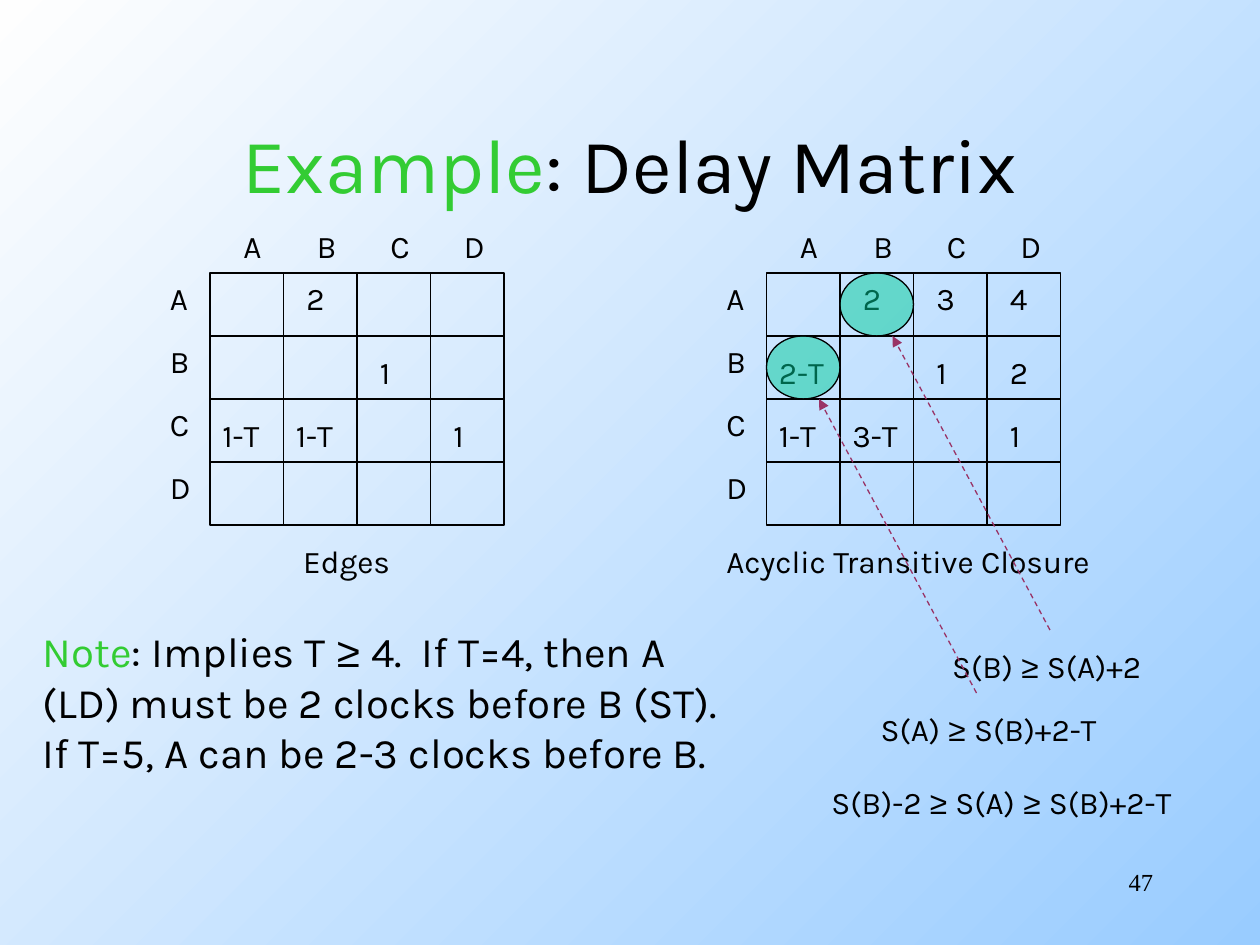
"""Build the delay matrix example slide on a grid of 120 columns by 90 rows."""
import pptx
import pptx.dml.color
import pptx.enum.dml
import pptx.enum.shapes
import pptx.enum.text
import pptx.oxml
import pptx.oxml.ns
import pptx.util

BLACK = pptx.dml.color.RGBColor(0x00, 0x00, 0x00)
GREEN = pptx.dml.color.RGBColor(0x33, 0xCC, 0x33)
TEAL = pptx.dml.color.RGBColor(0x00, 0xCC, 0x99)
PLUM = pptx.dml.color.RGBColor(0x99, 0x33, 0x66)
SKY = pptx.dml.color.RGBColor(0x99, 0xCC, 0xFF)
PALE = pptx.dml.color.RGBColor(0xFE, 0xFE, 0xFE)
ALIGN = pptx.enum.text.PP_ALIGN
SHAPES = pptx.enum.shapes.MSO_SHAPE
STRAIGHT = pptx.enum.shapes.MSO_CONNECTOR.STRAIGHT

deck = pptx.Presentation()
deck.slide_width = pptx.util.Inches(10)
deck.slide_height = pptx.util.Inches(7.5)
UNIT = deck.slide_width // 120
slide = deck.slides.add_slide(deck.slide_layouts[5])
backdrop = slide.background.fill
backdrop.gradient()
backdrop.gradient_angle = 135
for stop, colour in zip(backdrop.gradient_stops, (SKY, PALE)):
    stop.color.rgb = colour


def write(frame, lines, size=18, font="Karla", align=ALIGN.LEFT):
    """Fill a text frame; a bar in a line separates its runs."""
    for index, line in enumerate(lines):
        paragraph = frame.add_paragraph() if index else frame.paragraphs[0]
        paragraph.alignment = align
        paragraph.font.size = pptx.util.Pt(size)
        paragraph.font.name = font
        paragraph.font.color.rgb = BLACK
        for piece in line.split("|"):
            run = paragraph.add_run()
            run.text = piece
            if piece == "≥":
                run.font.name = "Courier New"
            if piece in ("Example", "Note"):
                run.font.color.rgb = GREEN


def place(box, *lines, wrap=False, **style):
    """Add a text box at a (column, row, width, height) place on the grid."""
    frame = slide.shapes.add_textbox(*(round(n * UNIT) for n in box)).text_frame
    frame.word_wrap = wrap
    if not wrap:
        frame.auto_size = pptx.enum.text.MSO_AUTO_SIZE.SHAPE_TO_FIT_TEXT
    write(frame, lines, **style)


title = slide.shapes.title
title.left, title.top, title.width, title.height = (n * UNIT for n in (9, 8, 102, 15))
write(title.text_frame, ["Example|: Delay Matrix"], size=44, align=ALIGN.CENTER)

TOP, CELL_WIDTH, CELL_HEIGHT = 26, 7, 6
EDGES_LEFT, CLOSURE_LEFT = 20, 73
EDGES = [["", "2", "", ""], ["", "", "1", ""], ["1-T", "1-T", "", "1"]]
CLOSURE = [["", "2", "3", "4"], ["2-T", "", "1", "2"], ["1-T", "3-T", "", "1"]]

for left, matrix in ((EDGES_LEFT, EDGES), (CLOSURE_LEFT, CLOSURE)):
    right, bottom = left + 4 * CELL_WIDTH, TOP + 4 * CELL_HEIGHT
    border = slide.shapes.add_shape(
        SHAPES.RECTANGLE, left * UNIT, TOP * UNIT, 4 * CELL_WIDTH * UNIT, 4 * CELL_HEIGHT * UNIT)
    border.shadow.inherit = False
    border.fill.background()
    border.line.color.rgb = BLACK
    border.line.width = pptx.util.Pt(0.75)
    for step in (1, 2, 3):
        x, y = left + step * CELL_WIDTH, TOP + step * CELL_HEIGHT
        for ends, sides in (((left, y, right, y), (1, 3)), ((x, TOP, x, bottom), (0, 2))):
            rule = slide.shapes.add_connector(STRAIGHT, *(n * UNIT for n in ends))
            rule.line.color.rgb = BLACK
            rule.line.width = pptx.util.Pt(0.75)
            rule._element.spPr.append(pptx.oxml.parse_xml(
                f"<a:effectLst {pptx.oxml.ns.nsdecls('a')}/>"))
            if step == 2:
                rule.begin_connect(border, sides[0])
                rule.end_connect(border, sides[1])
    for index, node in enumerate("ABCD"):
        place((left - 5, TOP + index * CELL_HEIGHT, 4.3, 4.8), node)
        place((left + 2 + index * CELL_WIDTH, TOP - 5, 4.3, 4.8), node)
    for row, delays in enumerate(matrix):
        for column, delay in enumerate(delays):
            if delay:
                single = len(delay) == 1
                place((left + column * CELL_WIDTH + single, TOP + row * CELL_HEIGHT + (row > 0),
                       4.1 if single else 6.7, 4.8), delay)

place((27.7, 51, 10.8, 4.8), "Edges")
place((68, 51, 37.7, 4.8), "Acyclic Transitive Closure")

for column, row, formula, box in (
    (1, 0, "S(B) |≥| S(A)+2", (89.5, 61, 20.6, 4.8)),
    (0, 1, "S(A) |≥| S(B)+2-T", (82.7, 67, 23.3, 4.8)),
):
    x, y = CLOSURE_LEFT + column * CELL_WIDTH, TOP + row * CELL_HEIGHT
    place(box, formula)
    highlight = slide.shapes.add_shape(
        SHAPES.OVAL, x * UNIT, y * UNIT, CELL_WIDTH * UNIT, CELL_HEIGHT * UNIT)
    highlight.shadow.inherit = False
    highlight.fill.solid()
    highlight.fill.fore_color.rgb = TEAL
    highlight._element.spPr.find(".//" + pptx.oxml.ns.qn("a:srgbClr")).append(
        pptx.oxml.parse_xml(f'<a:alpha {pptx.oxml.ns.nsdecls("a")} val="50000"/>'))
    highlight.line.color.rgb = BLACK
    highlight.line.width = pptx.util.Pt(0.75)
    pointer = slide.shapes.add_connector(
        STRAIGHT, *(n * UNIT for n in (x + 20, y + 34, x + 5, y + 6)))
    pointer.line.color.rgb = PLUM
    pointer.line.width = pptx.util.Pt(0.75)
    pointer.line.dash_style = pptx.enum.dml.MSO_LINE.DASH
    pointer.line._get_or_add_ln().append(pptx.oxml.parse_xml(
        f'<a:tailEnd {pptx.oxml.ns.nsdecls("a")} type="triangle"/>'))
    pointer._element.spPr.append(pptx.oxml.parse_xml(
        f"<a:effectLst {pptx.oxml.ns.nsdecls('a')}/>"))

place((78, 74, 35.4, 4.8), "S(B)-2 |≥| S(A) |≥| S(B)+2-T")
place((2.9, 59, 69.6, 15.6), "Note|: Implies T |≥| 4.  If T=4, then A",
      "(LD) must be 2 clocks before B (ST).", "If T=5, A can be 2-3 clocks before B.", size=24)
place((86, 82, 25, 6), "47", wrap=True, size=14, font="Times New Roman", align=ALIGN.RIGHT)

deck.save("out.pptx")
